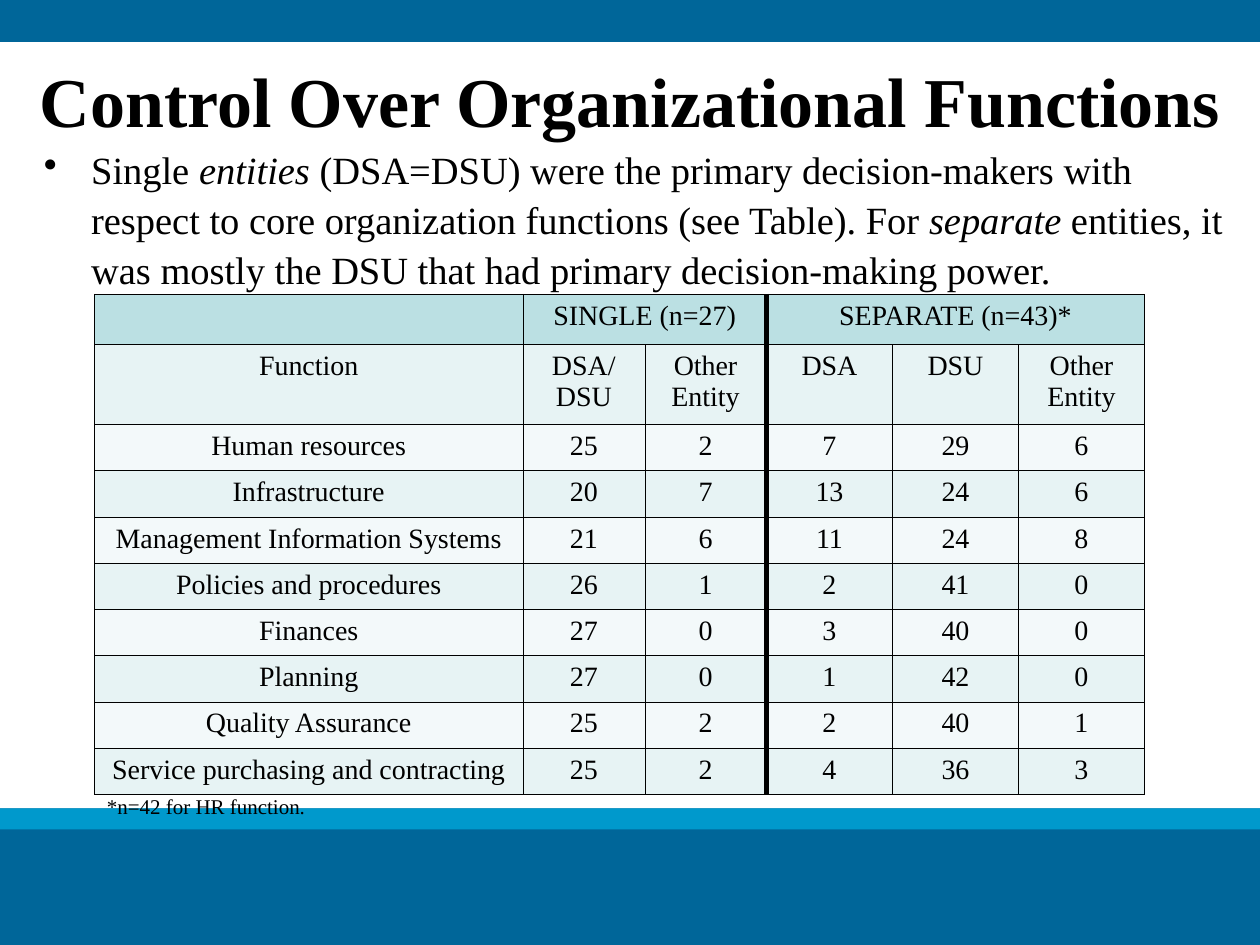
from dataclasses import dataclass

from pptx import Presentation
from pptx import util as u
from pptx.dml.color import RGBColor
from pptx.enum import shapes, text
from pptx.oxml import parse_xml
from pptx.oxml.ns import nsdecls


@dataclass(frozen=True)
class Theme:
    font: str = "Times New Roman"
    ink: str = "000000"
    dark_band: str = "006699"
    light_band: str = "0099CC"
    group_fill: str = "BBE0E3"
    even_fill: str = "F3F9FA"
    odd_fill: str = "E7F3F4"
    title_size: int = 40
    body_size: int = 22
    table_size: int = 16
    note_size: int = 12
    thin: float = 0.25
    thick: float = 3


def rgb(value):
    return RGBColor.from_string(value)


class SlideBuilder:
    def __init__(self, slide, theme):
        self.slide = slide
        self.theme = theme

    def band(self, top, height, color):
        band = self.slide.shapes.add_shape(
            shapes.MSO_SHAPE.RECTANGLE, 0, u.Pt(top), u.Pt(720), u.Pt(height))
        band.shadow.inherit = False
        band.fill.solid()
        band.fill.fore_color.rgb = rgb(color)
        band.line.fill.background()

    def add_runs(self, paragraph, runs, size, bold=False):
        """Add runs given as (wording, italic) pairs."""
        for wording, italic in runs:
            run = paragraph.add_run()
            run.text = wording
            style = dict(name=self.theme.font, size=u.Pt(size), bold=bold, italic=italic)
            for attribute, value in style.items():
                setattr(run.font, attribute, value)
            run.font.color.rgb = rgb(self.theme.ink)

    def textbox(self, left, top, width, height, runs, size, bold=False,
                anchor=text.MSO_ANCHOR.TOP, bullet_indent=None, **paragraph_format):
        box = self.slide.shapes.add_textbox(
            u.Pt(left), u.Pt(top), u.Pt(width), u.Pt(height))
        frame = box.text_frame
        frame.word_wrap = True
        frame.vertical_anchor = anchor
        paragraph = frame.paragraphs[0]
        if bullet_indent:
            properties = paragraph._p.get_or_add_pPr()
            properties.set("marL", str(u.Pt(bullet_indent)))
            properties.set("indent", str(-u.Pt(bullet_indent)))
            properties.append(parse_xml(f'<a:buChar {nsdecls("a")} char="•"/>'))
        for attribute, value in paragraph_format.items():
            setattr(paragraph, attribute, value)
        self.add_runs(paragraph, runs, size, bold)

    def borders(self, cell, **widths):
        properties = cell._tc.get_or_add_tcPr()
        for index, side in enumerate("LRTB"):
            width = widths.get(side, self.theme.thin)
            properties.insert(index, parse_xml(
                f'<a:ln{side} {nsdecls("a")} w="{u.Pt(width)}"><a:solidFill>'
                f'<a:srgbClr val="{self.theme.ink}"/></a:solidFill></a:ln{side}>'))

    def table(self, left, top, widths, heights, rows, merges, divider):
        """Draw a table with a thick rule to the left of column `divider`."""
        theme = self.theme
        grid = self.slide.shapes.add_table(
            len(rows), len(widths), u.Pt(left), u.Pt(top),
            u.Pt(sum(widths)), u.Pt(sum(heights))).table
        grid.first_row = grid.horz_banding = False
        for column, width in zip(grid.columns, widths):
            column.width = u.Pt(width)
        for row, height in zip(grid.rows, heights):
            row.height = u.Pt(height)
        for r, values in enumerate(rows):
            row_fill = theme.odd_fill if r % 2 else theme.even_fill
            for c, value in enumerate(values):
                cell = grid.cell(r, c)
                cell.fill.solid()
                cell.fill.fore_color.rgb = rgb(row_fill if r else theme.group_fill)
                rules = {}
                if c == divider:
                    rules["L"] = theme.thick
                if c == divider - 1 or (r, c, divider - 1) in merges:
                    rules["R"] = theme.thick
                self.borders(cell, **rules)
                frame = cell.text_frame
                for i, line in enumerate(str(value).split("\n")):
                    paragraph = frame.add_paragraph() if i else frame.paragraphs[0]
                    paragraph.alignment = text.PP_ALIGN.CENTER
                    if line:
                        self.add_runs(paragraph, [(line, False)], theme.table_size)
        for r, first, last in merges:
            grid.cell(r, first).merge(grid.cell(r, last))


FUNCTIONS = [
    ("", "SINGLE (n=27)", "", "SEPARATE (n=43)*", "", ""),
    ("Function", "DSA/\nDSU", "Other\nEntity", "DSA", "DSU", "Other Entity"),
    ("Human resources", 25, 2, 7, 29, 6),
    ("Infrastructure", 20, 7, 13, 24, 6),
    ("Management Information Systems", 21, 6, 11, 24, 8),
    ("Policies and procedures", 26, 1, 2, 41, 0),
    ("Finances", 27, 0, 3, 40, 0),
    ("Planning", 27, 0, 1, 42, 0),
    ("Quality Assurance", 25, 2, 2, 40, 1),
    ("Service purchasing and contracting", 25, 2, 4, 36, 3),
]

FINDING = [
    ("Single ", False),
    ("entities ", True),
    ("(DSA=DSU) were the primary decision-makers with respect to core "
     "organization functions (see Table). For ", False),
    ("separate", True),
    (" entities, it was mostly the DSU that had primary decision-making power.", False),
]


def main():
    deck = Presentation()
    deck.slide_width, deck.slide_height = u.Pt(720), u.Pt(540)
    theme = Theme()
    page = SlideBuilder(deck.slides.add_slide(deck.slide_layouts[6]), theme)

    # Background bands
    page.band(462, 78, theme.dark_band)
    page.band(462, 12, theme.light_band)
    page.band(0, 24, theme.dark_band)

    # Title and main finding
    page.textbox(0, 30, 720, 54, [("Control Over Organizational Functions", False)],
                 theme.title_size, bold=True, anchor=text.MSO_ANCHOR.MIDDLE,
                 alignment=text.PP_ALIGN.CENTER)
    page.textbox(18, 78, 702, 90, FINDING, theme.body_size,
                 bullet_indent=27, line_spacing=1.08)

    # Decision-maker counts by function
    heights = [25.2, 42.8] + [25.2] * (len(FUNCTIONS) - 2)
    page.table(54, 168, [244.8, 69.6, 69.6, 72, 72, 72], heights, FUNCTIONS,
               merges=[(0, 1, 2), (0, 3, 5)], divider=3)

    # Footnote
    page.textbox(54, 450, 444, 21.6, [("*n=42 for HR function.", False)],
                 theme.note_size)

    deck.save("out.pptx")


if __name__ == "__main__":
    main()
